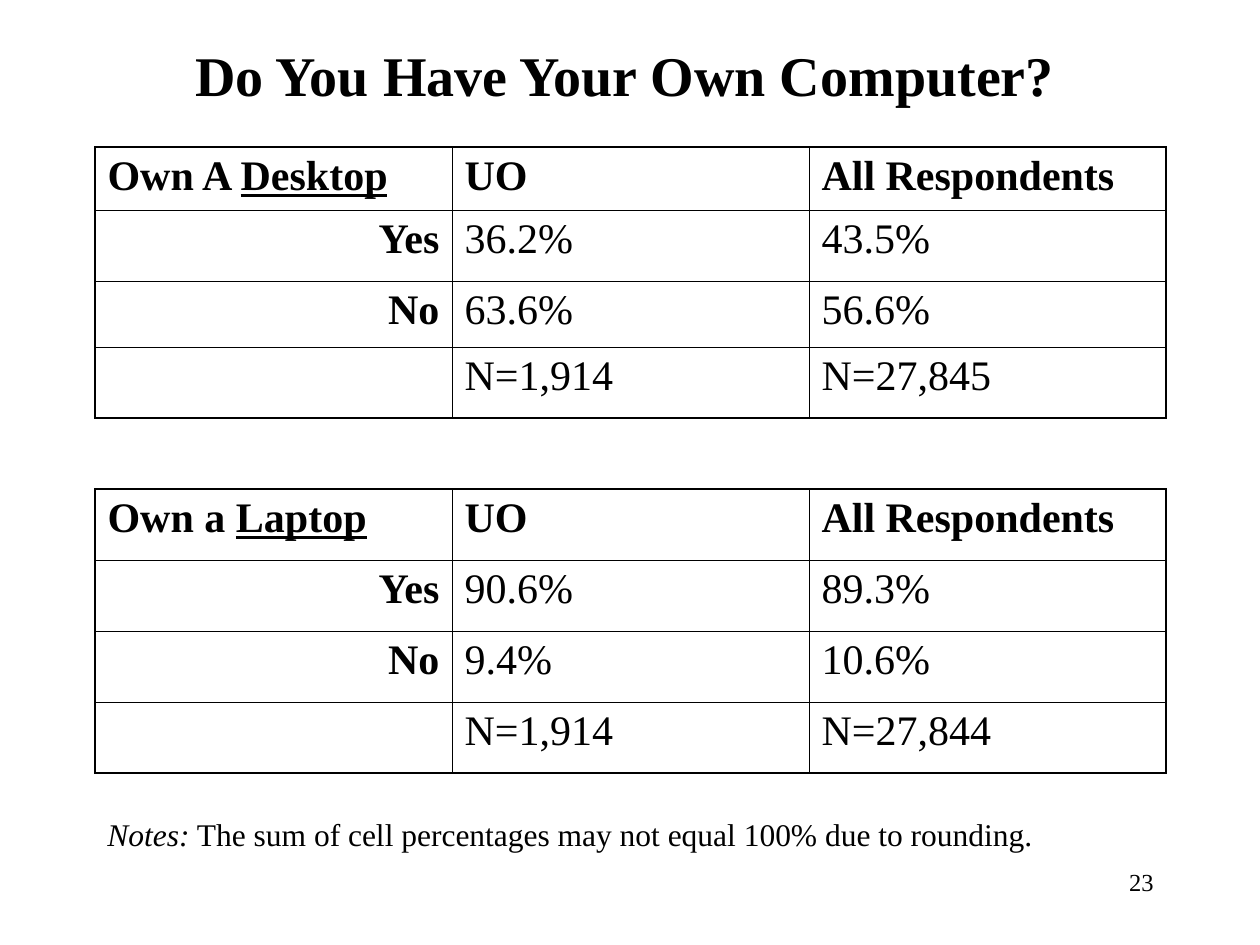
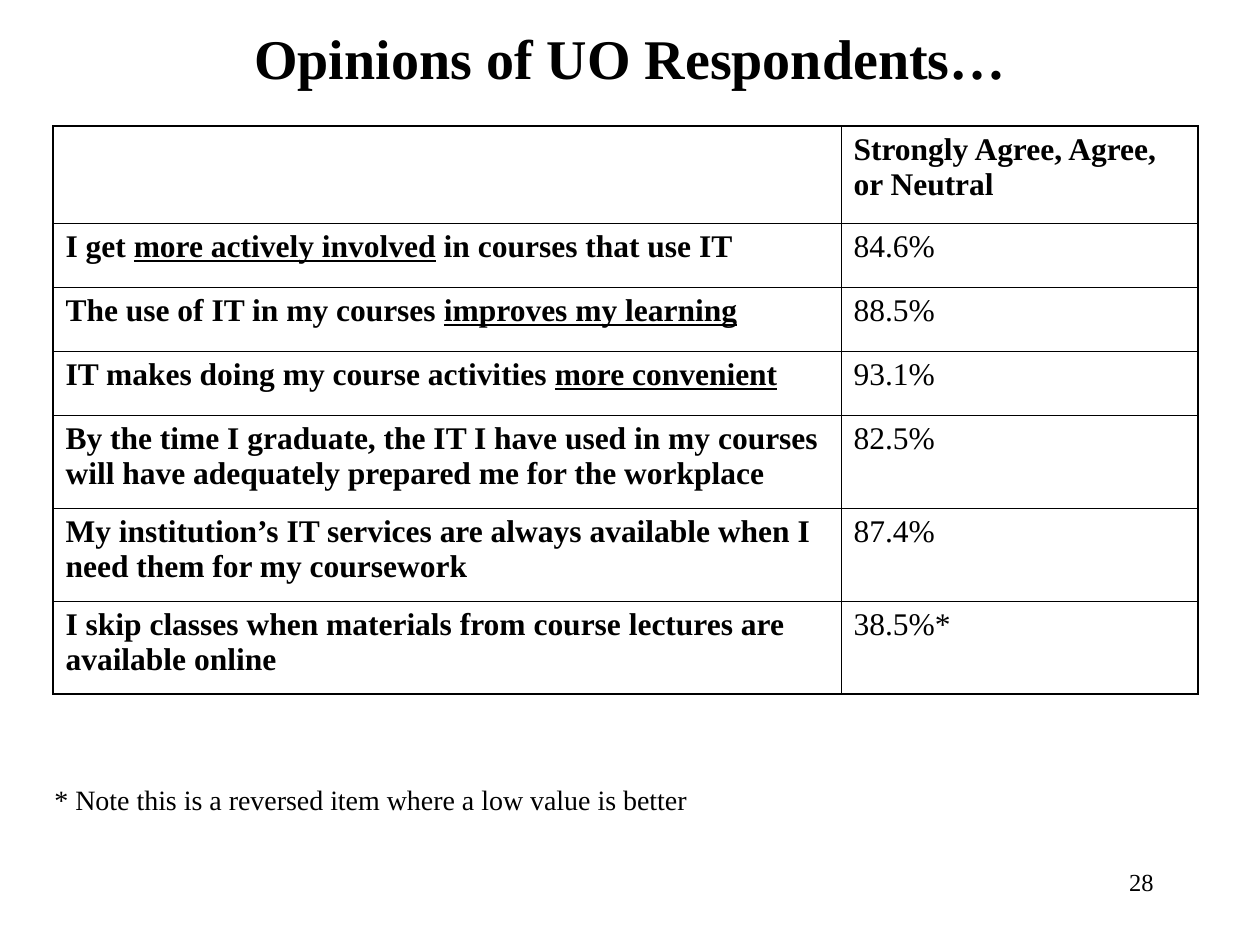
from dataclasses import dataclass
from typing import Optional

from lxml import etree
from pptx import Presentation
from pptx import util as u
from pptx.dml.color import RGBColor
from pptx.enum import text
from pptx.oxml import ns

# Shared look
EMU_PER_PX = 914400 / 126
SLIDE_WIDTH, SLIDE_HEIGHT = 1260, 945
INK = RGBColor(0x00, 0x00, 0x00)
FONT = "Times New Roman"
TITLE_SIZE, NUMBER_SIZE = 32, 14
FRAME_LINE, GRID_LINE, NO_LINE = 1.08, 0.45, 0.0
LEFT, CENTER, RIGHT = text.PP_ALIGN.LEFT, text.PP_ALIGN.CENTER, text.PP_ALIGN.RIGHT
MARK = "|"  # encloses the emphasised part of a text


@dataclass(frozen=True)
class Box:
    left: int
    top: int
    width: int
    height: int


@dataclass(frozen=True)
class Survey:
    """One table; each block of rows is framed, with an open row between blocks."""
    left: int
    top: int
    widths: list[int]
    heights: list[int]
    size: int
    label_align: text.PP_ALIGN
    blocks: list[list[tuple[str, ...]]]


@dataclass(frozen=True)
class Page:
    title: str
    title_box: Box
    survey: Survey
    note: str
    note_box: Box
    note_size: int
    number: str


NUMBER_BOX = Box(903, 861, 263, 63)

PAGES = [
    Page(
        "Do You Have Your Own Computer?", Box(32, 32, 1186, 84),
        Survey(95, 147, [357] * 3, [63, 71, 66] + [71] * 6, 24, RIGHT, [
            [("Own A |Desktop|", "UO", "All Respondents"),
             ("Yes", "36.2%", "43.5%"),
             ("No", "63.6%", "56.6%"),
             ("", "N=1,914", "N=27,845")],
            [("Own a |Laptop|", "UO", "All Respondents"),
             ("Yes", "90.6%", "89.3%"),
             ("No", "9.4%", "10.6%"),
             ("", "N=1,914", "N=27,844")],
        ]),
        "|Notes:| The sum of cell percentages may not equal 100% due to rounding.",
        Box(95, 809, 1115, 50), 18, "23",
    ),
    Page(
        "Opinions of UO Respondents…", Box(95, 21, 1071, 73),
        Survey(53, 126, [788, 357], [97] + [64] * 3 + [93] * 3, 18, LEFT, [
            [("", "Strongly Agree, Agree, or Neutral"),
             ("I get |more actively involved| in courses that use IT", "84.6%"),
             ("The use of IT in my courses |improves my learning|", "88.5%"),
             ("IT makes doing my course activities |more convenient|", "93.1%"),
             ("By the time I graduate, the IT I have used in my courses "
              "will have adequately prepared me for the workplace", "82.5%"),
             ("My institution’s IT services are always available when I "
              "need them for my coursework", "87.4%"),
             ("I skip classes when materials from course lectures are "
              "available online", "38.5%*")],
        ]),
        "* Note this is a reversed item where a low value is better",
        Box(42, 776, 664, 47), 16, "28",
    ),
]


def px(length: int) -> u.Emu:
    return u.Emu(round(length * EMU_PER_PX))


def write(frame, content: str, size: int, align=LEFT, bold=False,
          emphasis: str = "underline") -> None:
    """Write one paragraph, with the marked parts underlined or in italics."""
    paragraph = frame.paragraphs[0]
    paragraph.alignment = align
    for index, part in enumerate(content.split(MARK)):
        if not part:
            continue
        run = paragraph.add_run()
        run.text = part
        run.font.name, run.font.size, run.font.bold = FONT, u.Pt(size), bold
        run.font.color.rgb = INK
        if index % 2:
            setattr(run.font, emphasis, True)


def add_text(slide, box: Box, content: str, size: int, align=LEFT, bold=False,
             anchor=text.MSO_ANCHOR.TOP) -> None:
    frame = slide.shapes.add_textbox(
        px(box.left), px(box.top), px(box.width), px(box.height)).text_frame
    frame.word_wrap = True
    frame.vertical_anchor = anchor
    write(frame, content, size, align, bold, "italic")


def set_borders(cell, left: float, right: float, top: float, bottom: float) -> None:
    """Set the four border widths in points; zero hides a border."""
    properties = cell._tc.get_or_add_tcPr()
    for index, (side, width) in enumerate(zip("LRTB", (left, right, top, bottom))):
        line = etree.Element(ns.qn(f"a:ln{side}"), w=str(u.Pt(width)))
        if width:
            fill = etree.SubElement(line, ns.qn("a:solidFill"))
            etree.SubElement(fill, ns.qn("a:srgbClr"), val=str(INK))
        else:
            etree.SubElement(line, ns.qn("a:noFill"))
        properties.insert(index, line)


def add_row(table, row: int, survey: Survey, answers: Optional[tuple[str, ...]],
            first: bool, last: bool) -> None:
    """Fill one row; without answers it is the open row between two blocks."""
    end = len(survey.widths) - 1
    for column in range(end + 1):
        cell = table.cell(row, column)
        cell.fill.background()
        if answers is None:
            set_borders(cell, NO_LINE, NO_LINE, FRAME_LINE, FRAME_LINE)
            continue
        set_borders(cell,
                    FRAME_LINE if column == 0 else GRID_LINE,
                    FRAME_LINE if column == end else GRID_LINE,
                    FRAME_LINE if first else GRID_LINE,
                    FRAME_LINE if last else GRID_LINE)
        is_label = column == 0 and not first
        write(cell.text_frame, answers[column], survey.size,
              survey.label_align if is_label else LEFT, bold=first or is_label)


def add_survey(slide, survey: Survey) -> None:
    table = slide.shapes.add_table(
        len(survey.heights), len(survey.widths), px(survey.left), px(survey.top),
        px(sum(survey.widths)), px(sum(survey.heights))).table
    table.first_row = table.horz_banding = False
    for column, width in zip(table.columns, survey.widths):
        column.width = px(width)
    for table_row, height in zip(table.rows, survey.heights):
        table_row.height = px(height)

    row = 0
    for block in survey.blocks:
        if row:
            add_row(table, row, survey, None, False, False)
            row += 1
        for index, answers in enumerate(block):
            add_row(table, row, survey, answers, index == 0, index == len(block) - 1)
            row += 1


def add_page(deck, page: Page) -> None:
    slide = deck.slides.add_slide(deck.slide_layouts[6])
    add_text(slide, page.title_box, page.title, TITLE_SIZE, CENTER, True,
             text.MSO_ANCHOR.MIDDLE)
    add_survey(slide, page.survey)
    add_text(slide, page.note_box, page.note, page.note_size)
    add_text(slide, NUMBER_BOX, page.number, NUMBER_SIZE, RIGHT)


def main() -> None:
    deck = Presentation()
    deck.slide_width, deck.slide_height = px(SLIDE_WIDTH), px(SLIDE_HEIGHT)
    for page in PAGES:
        add_page(deck, page)
    deck.save("out.pptx")


if __name__ == "__main__":
    main()
